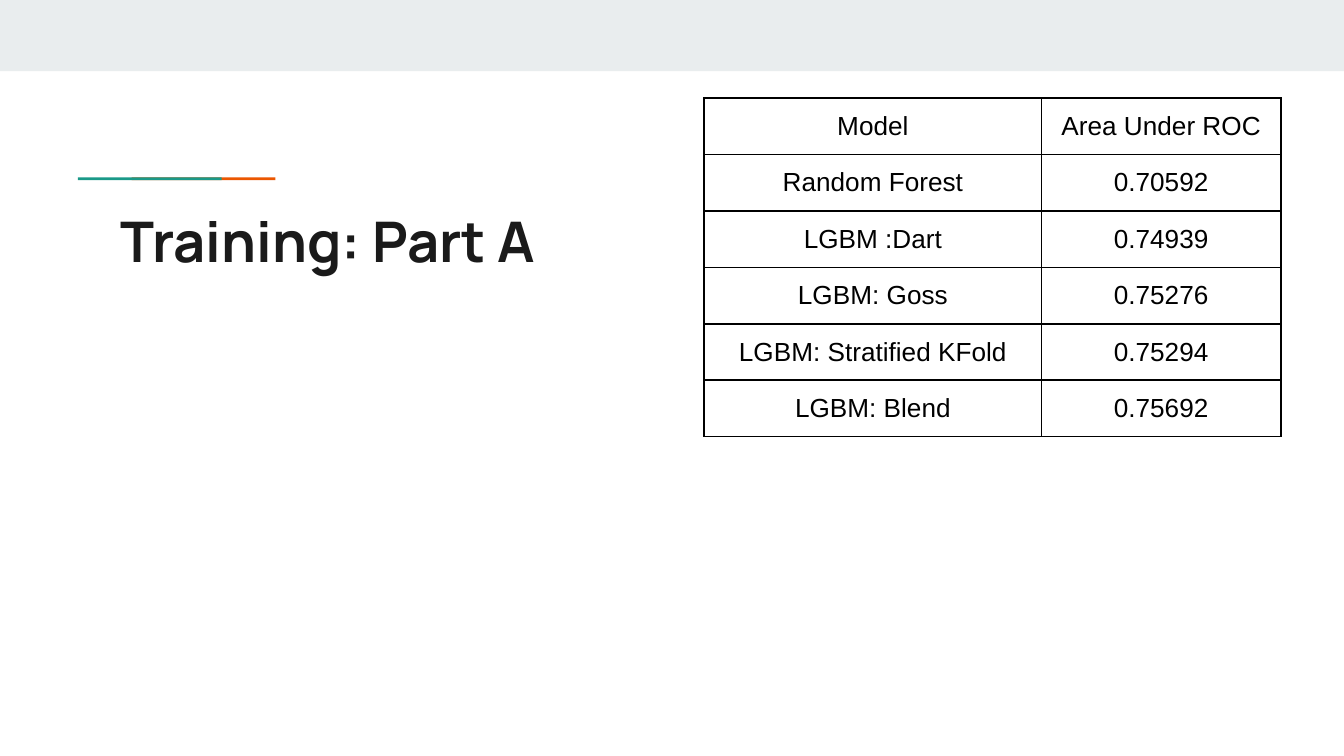
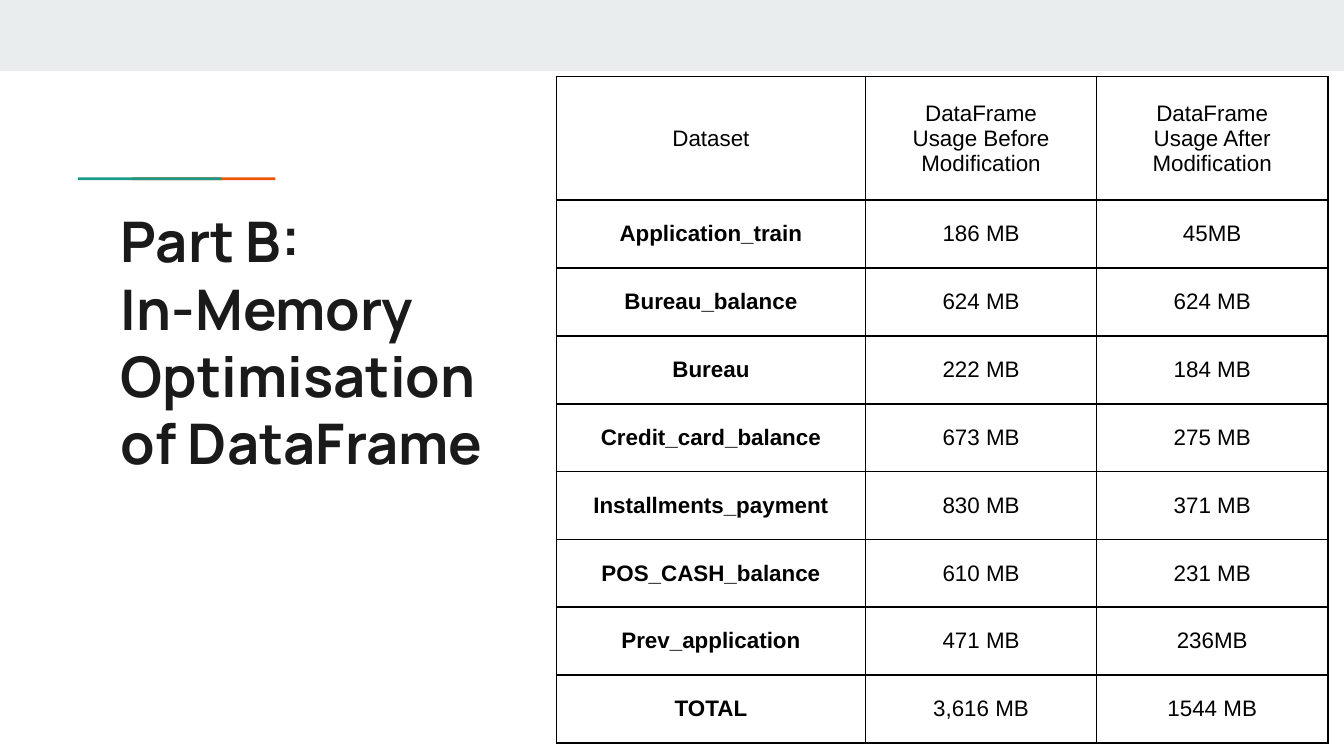
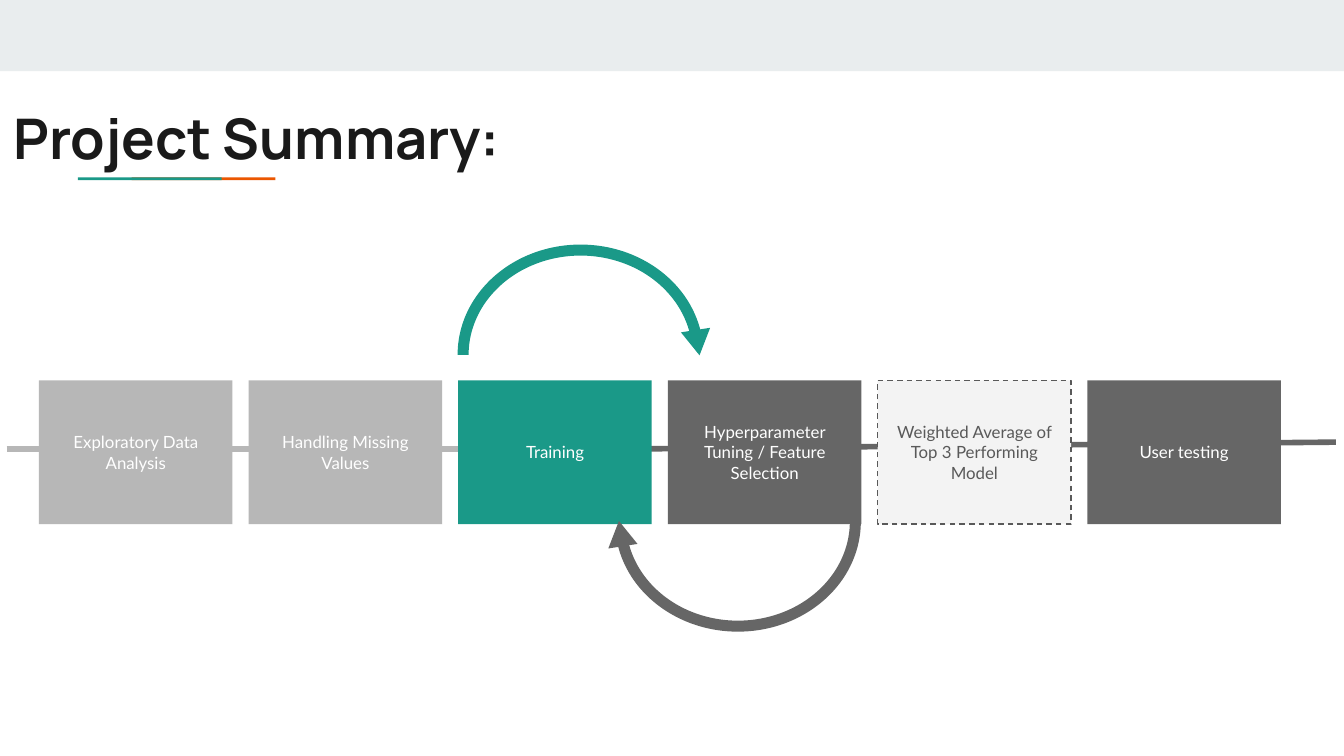
from pptx import Presentation, util as u
from pptx.dml.color import RGBColor
from pptx.enum import dml, shapes, text
from pptx.oxml import parse_xml
from pptx.oxml.ns import nsdecls, qn
from lxml import etree

Inches, Pt = u.Inches, u.Pt
INK, TEAL, ORANGE, BAND = "1A1A1A", "1A9988", "EB5600", "E9EDEE"
BLACK, WHITE, DARK, LIGHT = "000000", "FFFFFF", "666666", "B7B7B7"
PALE, SLATE = "F3F3F3", "595959"

SCORES = [
    ("Model", "Area Under ROC"),
    ("Random Forest", "0.70592"),
    ("LGBM :Dart", "0.74939"),
    ("LGBM: Goss", "0.75276"),
    ("LGBM: Stratified KFold", "0.75294"),
    ("LGBM: Blend", "0.75692"),
]
MEMORY = [
    ("Dataset", "DataFrame\nUsage Before\nModification",
     "DataFrame\nUsage After\nModification"),
    ("Application_train", "186 MB", "45MB"),
    ("Bureau_balance", "624 MB", "624 MB"),
    ("Bureau", "222 MB", "184 MB"),
    ("Credit_card_balance", "673 MB", "275 MB"),
    ("Installments_payment", "830 MB", "371 MB"),
    ("POS_CASH_balance", "610 MB", "231 MB"),
    ("Prev_application", "471 MB", "236MB"),
    ("TOTAL", "3,616 MB", "1544 MB"),
]
STEPS = [  # label, fill, text colour, dashed outline
    ("Exploratory Data Analysis", LIGHT, WHITE, False),
    ("Handling Missing Values", LIGHT, WHITE, False),
    ("Training", TEAL, WHITE, False),
    ("Hyperparameter Tuning / Feature Selection", DARK, WHITE, False),
    ("Weighted Average of Top 3 Performing Model", PALE, SLATE, True),
    ("User testing", DARK, WHITE, False),
]
TRACKS = [(4.81, 3.34, 9.94, 3.29, DARK), (0.05, 3.34, 4.55, 3.34, LIGHT)]
LOOPS = [(4.32, 2.64, 0, TEAL), (5.49, 3.88, 180, DARK)]  # centre, turn, colour


def rgb(value):
    return RGBColor.from_string(value)


def set_font(paragraph, name, size, colour, bold=False):
    font = paragraph.font
    font.name, font.size, font.bold = name, Pt(size), bold
    font.color.rgb = rgb(colour)


def add_block(page, kind, left, top, width, height, colour):
    block = page.shapes.add_shape(kind, *map(Inches, (left, top, width, height)))
    block.shadow.inherit = False
    block.fill.solid()
    block.fill.fore_color.rgb = rgb(colour)
    block.line.fill.background()
    return block


def add_theme_shapes(page, layout):
    """Draw the band and accent rule, then move them behind the layout's placeholders."""
    parts = [(0, 0, 10, 0.53, BAND), (0.98, 1.32, 1.07, 0.02, ORANGE),
             (0.58, 1.32, 1.07, 0.02, TEAL)]
    for index, part in enumerate(parts):
        block = add_block(page, shapes.MSO_SHAPE.RECTANGLE, *part)
        layout.shapes.element.insert(2 + index, block.element)


def set_margins(frame):
    frame.margin_left = frame.margin_right = Inches(0.1)
    frame.margin_top = frame.margin_bottom = Inches(0.1)


def set_title(page, words, left, top, width, height):
    title = page.shapes.title
    title.left, title.top, title.width, title.height = map(
        Inches, (left, top, width, height))
    frame = title.text_frame
    frame.text = words
    set_margins(frame)
    frame.word_wrap = True
    frame.auto_size = text.MSO_AUTO_SIZE.NONE
    frame.vertical_anchor = text.MSO_ANCHOR.TOP
    for para in frame.paragraphs:
        para.alignment = text.PP_ALIGN.LEFT
        set_font(para, "Manrope", 30, INK, True)


def add_borders(cell):
    properties = cell._tc.get_or_add_tcPr()
    for index, side in enumerate(("lnL", "lnR", "lnT", "lnB")):
        properties.insert(index, parse_xml(
            f'<a:{side} {nsdecls("a")} w="{Pt(1)}"><a:solidFill>'
            f'<a:srgbClr val="{BLACK}"/></a:solidFill></a:{side}>'))


def add_grid(page, rows, left, top, widths, heights, size, bold_labels=False):
    frame = page.shapes.add_table(
        len(rows), len(widths), Inches(left), Inches(top),
        Inches(sum(widths)), Inches(sum(heights)))
    table = frame.table
    table.first_row = table.horz_banding = False
    for column, width in zip(table.columns, widths):
        column.width = Inches(width)
    for r, (values, height) in enumerate(zip(rows, heights)):
        table.rows[r].height = Inches(height)
        for c, value in enumerate(values):
            cell = table.cell(r, c)
            cell.text = value
            cell.fill.background()
            cell.vertical_anchor = text.MSO_ANCHOR.MIDDLE
            cell.margin_left = cell.margin_right = Inches(0.07)
            cell.margin_top = cell.margin_bottom = Inches(0.1)
            add_borders(cell)
            for para in cell.text_frame.paragraphs:
                para.alignment = text.PP_ALIGN.CENTER
                set_font(para, "Arial", size, BLACK, bold_labels and r > 0 and c == 0)


def add_track(page, x1, y1, x2, y2, colour):
    track = page.shapes.add_connector(
        shapes.MSO_CONNECTOR.STRAIGHT, *map(Inches, (x1, y1, x2, y2)))
    track.line.color.rgb = rgb(colour)
    track.line.width = Pt(3)
    etree.SubElement(track.element.spPr, qn("a:effectLst"))


def add_step(page, position, label, fill, colour, dashed):
    box = add_block(page, shapes.MSO_SHAPE.RECTANGLE,
                    0.29 + 1.56 * position, 2.83, 1.44, 1.07, fill)
    if dashed:
        box.line.color.rgb = rgb(colour)
        box.line.width = Pt(0.75)
        box.line.dash_style = dml.MSO_LINE.DASH
    frame = box.text_frame
    frame.text = label
    frame.word_wrap = True
    frame.vertical_anchor = text.MSO_ANCHOR.MIDDLE
    set_margins(frame)
    para = frame.paragraphs[0]
    para.alignment = text.PP_ALIGN.CENTER
    set_font(para, "Lato", 9, colour)


def add_loop(page, x, y, turn, colour):
    """Draw a curved arrow centred on (x, y); a turn of 180 points it back."""
    width, height = 1.83, 1.64
    arc = add_block(page, shapes.MSO_SHAPE.BLOCK_ARC,
                    x - width / 2, y - height / 2, width, height, colour)
    for index, value in enumerate((108, 211.46, 0.05)):
        arc.adjustments[index] = value
    arc.rotation = turn
    side = -1 if turn else 1
    width, height = 0.22, 0.19
    head = add_block(page, shapes.MSO_SHAPE.ISOSCELES_TRIANGLE,
                     x + side * 0.87 - width / 2, y - side * 0.09 - height / 2,
                     width, height, colour)
    head.rotation = 171.1 + turn


def main():
    deck = Presentation()
    deck.slide_width = Inches(10)
    deck.slide_height = deck.slide_width * 9 // 16
    layout = deck.slide_layouts.get_by_name("Title Only")
    training, memory, summary = [deck.slides.add_slide(layout) for _ in range(3)]
    add_theme_shapes(training, layout)

    set_title(training, "Training: Part A", 0.8, 1.44, 8.41, 0.59)
    add_grid(training, SCORES, 5.24, 0.73, [2.51, 1.78], [0.42] * len(SCORES), 14)

    set_title(memory, "Part B:\nIn-Memory Optimisation of DataFrame",
              0.8, 1.44, 3.25, 3.52)
    body_rows = len(MEMORY) - 1
    add_grid(memory, MEMORY, 4.14, 0.57, [2.3, 1.72, 1.72],
             [0.92] + [4.04 / body_rows] * body_rows, 12, bold_labels=True)

    for track in TRACKS:
        add_track(summary, *track)
    set_title(summary, "Project Summary:", 0, 0.67, 8.41, 0.59)
    for position, step in enumerate(STEPS):
        add_step(summary, position, *step)
    for loop in LOOPS:
        add_loop(summary, *loop)
    deck.save("out.pptx")


if __name__ == "__main__":
    main()
